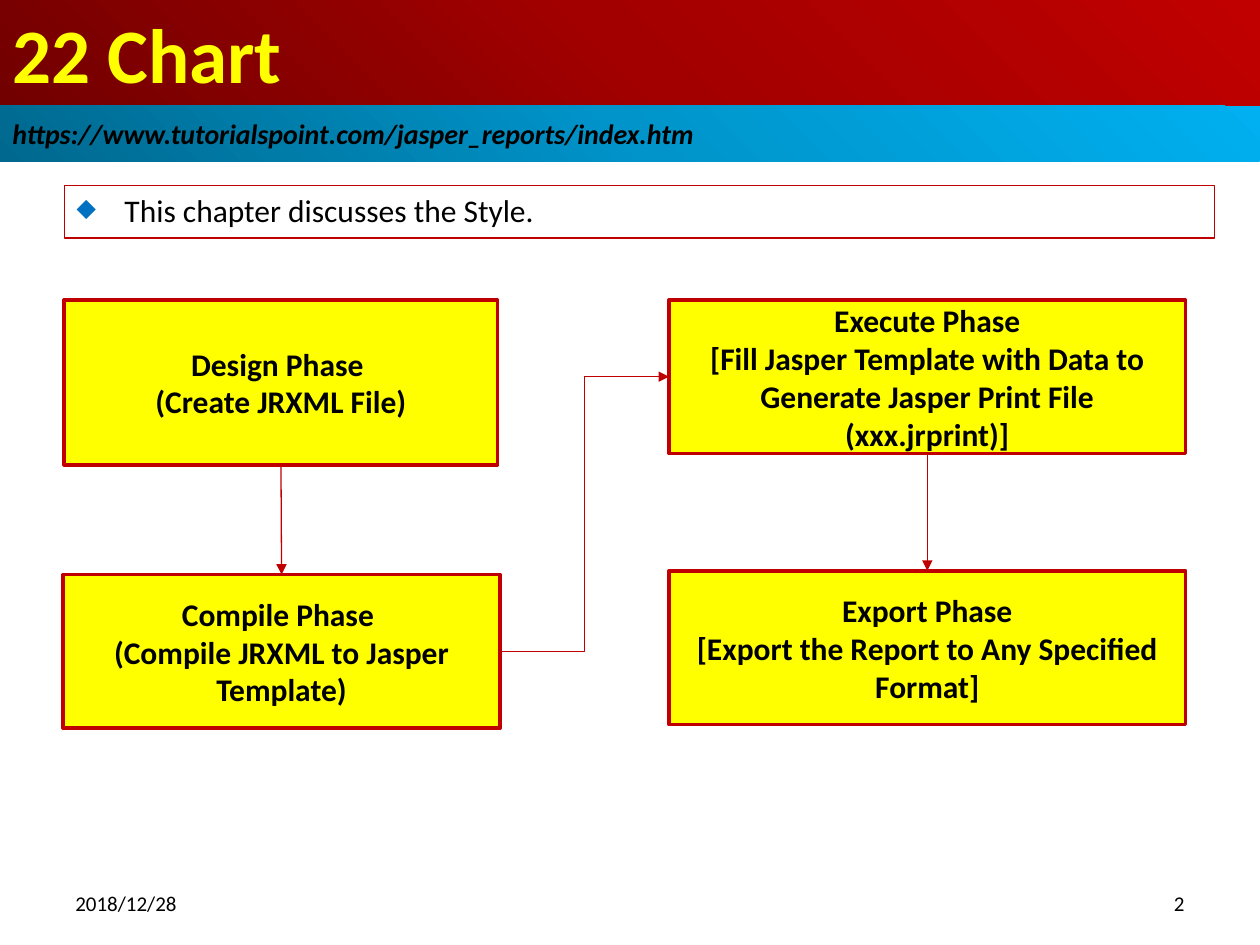
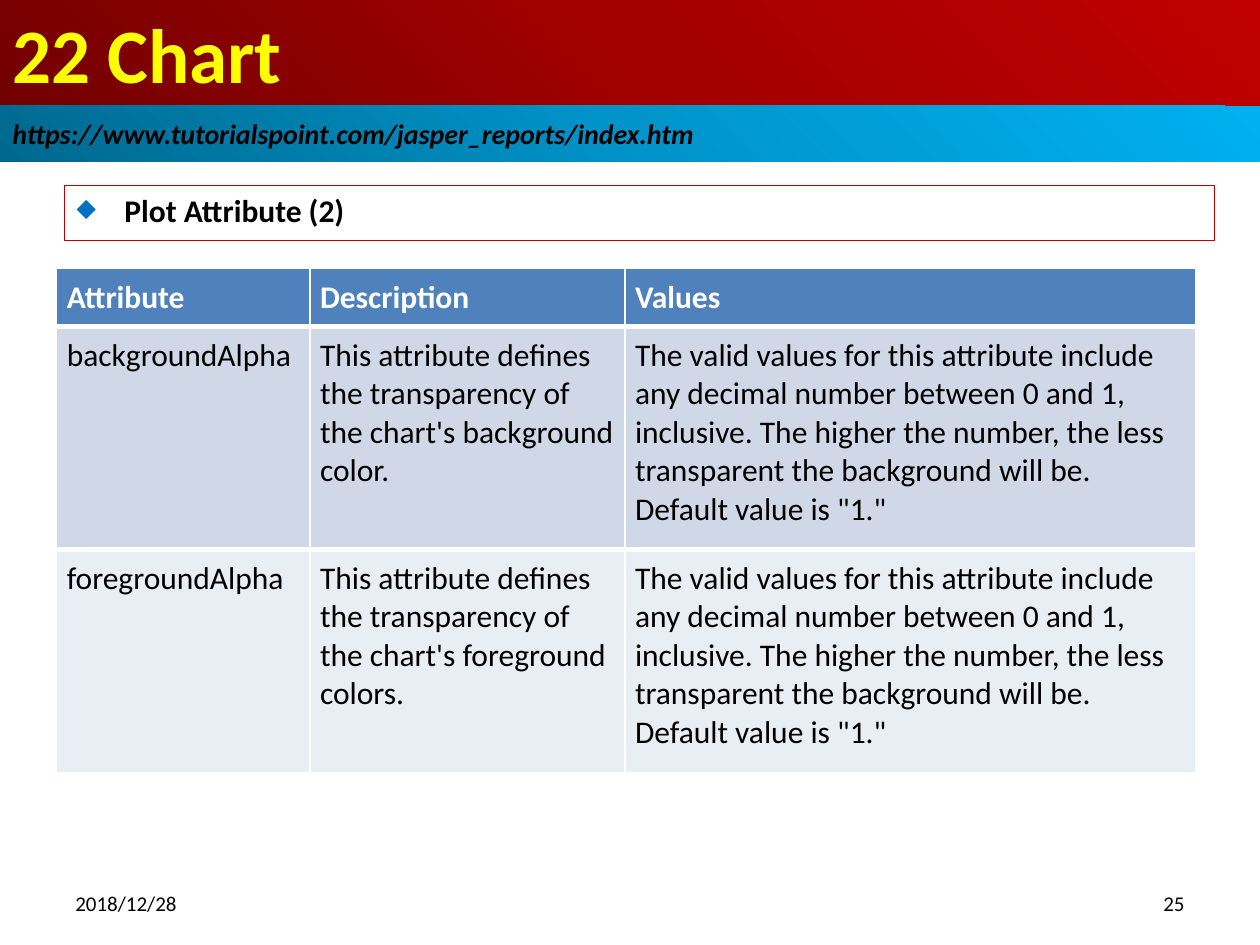
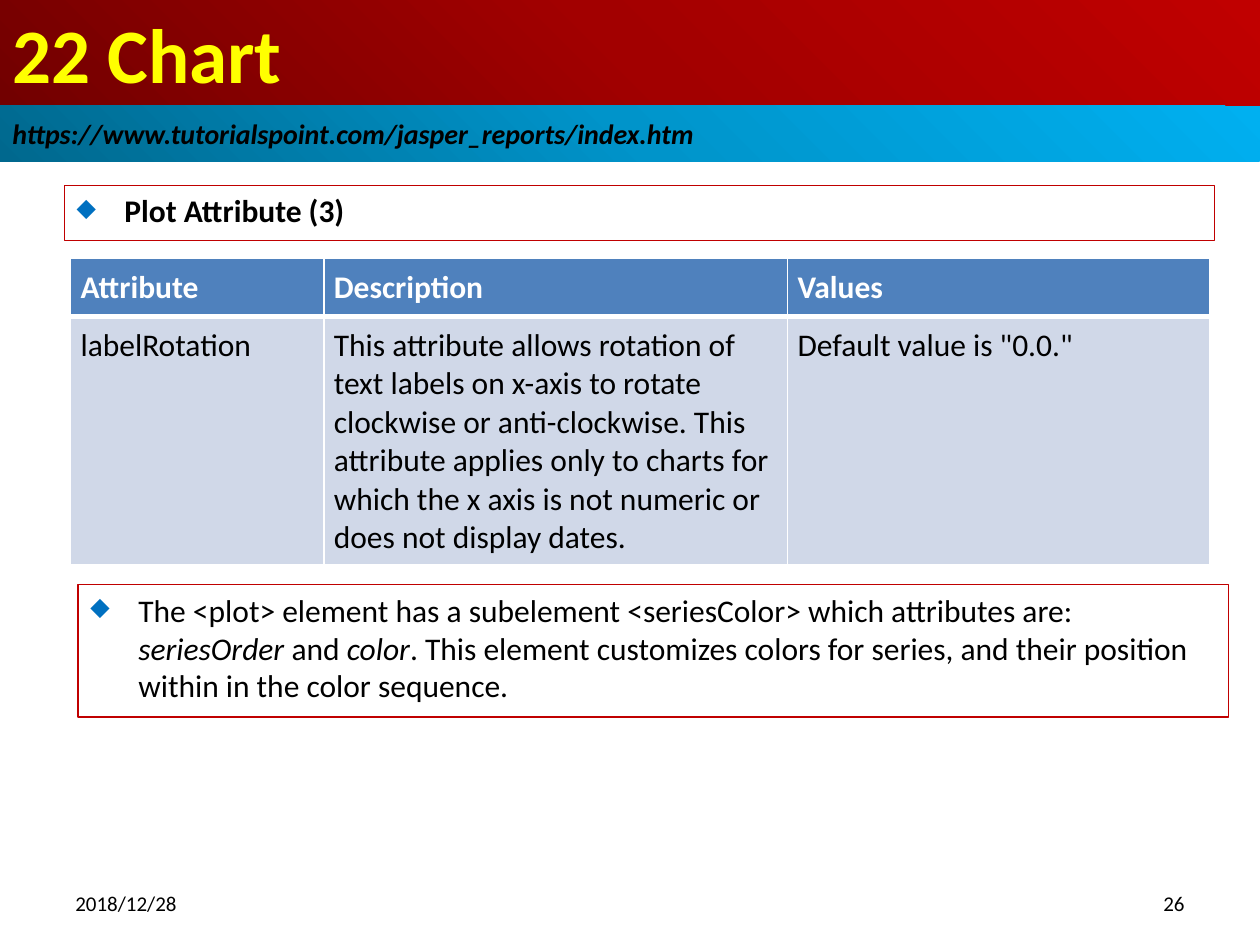
"""Build three slides on charts in a report library."""
from lxml import etree
from pptx import Presentation
from pptx.dml.color import RGBColor
from pptx.enum.shapes import MSO_CONNECTOR, MSO_SHAPE
from pptx.enum.text import MSO_ANCHOR, PP_ALIGN
from pptx.oxml import parse_xml
from pptx.oxml.ns import nsdecls, qn
from pptx.util import Inches, Pt

RECT = MSO_SHAPE.RECTANGLE
STRAIGHT, ELBOW = MSO_CONNECTOR.STRAIGHT, MSO_CONNECTOR.ELBOW
TOP, MIDDLE = MSO_ANCHOR.TOP, MSO_ANCHOR.MIDDLE
LEFT, CENTER, RIGHT = PP_ALIGN.LEFT, PP_ALIGN.CENTER, PP_ALIGN.RIGHT
SITE_TOP, SITE_LEFT, SITE_BOTTOM, SITE_RIGHT = range(4)

FONT = "Calibri"
BLACK, WHITE, YELLOW, RED, BLUE = "000000", "FFFFFF", "FFFF00", "C00000", "0070C0"
RED_BAND = ("720000", "A20000", "C00000")
BLUE_BAND = ("00688E", "0094CA", "00B0F0")
HEADER_FILL, ROW_FILLS = "4F81BD", ("D0D8E8", "E9EDF4")

TITLE = "22 Chart"
URL = "https://www.tutorialspoint.com/jasper_reports/index.htm"
DATE = "2018/12/28"
HEADINGS = ("Attribute", "Description", "Values")
ALPHA_VALUES = (
    "The valid values for this attribute include any decimal number between 0 and 1, "
    "inclusive. The higher the number, the less transparent the background will be. "
    'Default value is "1."'
)
ROTATION = (
    "This attribute allows rotation of text labels on x-axis to rotate clockwise or "
    "anti-clockwise. This attribute applies only to charts for which the x axis is not "
    "numeric or does not display dates."
)
SERIES_COLOR = [
    ("The <plot> element has a subelement <seriesColor> which attributes are: ", False),
    ("seriesOrder", True),
    (" and ", False),
    ("color", True),
    (". This element customizes colors for series, and their position within in the "
     "color sequence.", False),
]


def rgb(color):
    """Turn a hex string into a colour."""
    return RGBColor.from_string(color)


def add_bullet(p):
    """Give a paragraph a hanging diamond bullet."""
    pPr = p._p.get_or_add_pPr()
    pPr.set("marL", str(Inches(0.38)))
    pPr.set("indent", str(-Inches(0.38)))
    color = etree.SubElement(pPr, qn("a:buClr"))
    etree.SubElement(color, qn("a:srgbClr"), val=BLUE)
    etree.SubElement(pPr, qn("a:buSzPct"), val="80000")
    etree.SubElement(pPr, qn("a:buChar"), char="◆")


def write(tf, *paragraphs, size=18, color=BLACK, bold=False, italic=False,
          align=LEFT, anchor=TOP, bullet=False):
    """Write paragraphs, each a string or a list of (text, italic) runs."""
    tf.word_wrap = True
    tf.vertical_anchor = anchor
    for i, runs in enumerate(paragraphs):
        p = tf.add_paragraph() if i else tf.paragraphs[0]
        p.alignment = align
        if bullet:
            add_bullet(p)
        for text, slanted in [(runs, italic)] if isinstance(runs, str) else runs:
            r = p.add_run()
            r.text = text
            r.font.name, r.font.size = FONT, Pt(size)
            r.font.bold, r.font.italic = bold, slanted
            r.font.color.rgb = rgb(color)


def set_border(cell, header):
    """Draw white cell borders, thicker below the header."""
    tcPr = cell._tc.get_or_add_tcPr()
    for i, side in enumerate("LRTB"):
        below = header and side == "B" or not header and side == "T"
        ln = parse_xml(
            f'<a:ln{side} {nsdecls("a")} w="{Pt(3 if below else 1)}"><a:solidFill>'
            f'<a:srgbClr val="{WHITE}"/></a:solidFill></a:ln{side}>')
        tcPr.insert(i, ln)


class Deck:
    """Hold the shared style and the current slide."""

    def __init__(self):
        """Start an empty presentation."""
        self.prs = Presentation()
        self.prs.slide_width, self.prs.slide_height = Inches(10), Inches(7.5)
        self.s = None

    def slide(self, number, heading, bold=True, height=0.44):
        """Add a slide with its bands, heading and footer."""
        self.s = self.prs.slides.add_slide(self.prs.slide_layouts[6])
        self.band(0, 0.84, RED_BAND, TITLE, size=44, color=YELLOW, bold=True)
        self.bullet_box(0.51, 1.47, height, heading, bold=bold)
        self.band(0.84, 0.44, BLUE_BAND, URL, size=16, bold=True, italic=True)
        self.footer(0.5, DATE, LEFT)
        self.footer(7.17, str(number), RIGHT)

    def box(self, x, y, w, h, fill=None, line=None, width=0.75):
        """Add a rectangle."""
        sp = self.s.shapes.add_shape(RECT, Inches(x), Inches(y), Inches(w), Inches(h))
        sp.shadow.inherit = False
        if fill:
            sp.fill.solid()
            sp.fill.fore_color.rgb = rgb(fill)
        else:
            sp.fill.background()
        if line:
            sp.line.color.rgb = rgb(line)
            sp.line.width = Pt(width)
        else:
            sp.line.fill.background()
        return sp

    def band(self, y, h, colors, text, **fmt):
        """Add a full-width band shaded from its lower left corner."""
        sp = self.box(0, y, 10, h)
        stops = "".join(f'<a:gs pos="{i * 50000}"><a:srgbClr val="{c}"/></a:gs>'
                        for i, c in enumerate(colors))
        grad = parse_xml(
            f'<a:gradFill {nsdecls("a")} rotWithShape="1"><a:gsLst>{stops}</a:gsLst>'
            '<a:path path="circle"><a:fillToRect t="100000" r="100000"/></a:path>'
            '</a:gradFill>')
        spPr = sp._element.spPr
        spPr.replace(spPr.find(qn("a:noFill")), grad)
        write(sp.text_frame, text, anchor=MIDDLE, **fmt)

    def bullet_box(self, x, y, h, text, bold=False):
        """Add an outlined box with one bulleted paragraph."""
        sp = self.box(x, y, 9.13, h, line=RED)
        write(sp.text_frame, text, bold=bold, bullet=True)

    def footer(self, x, text, align):
        """Add a footer text."""
        tb = self.s.shapes.add_textbox(Inches(x), Inches(6.95), Inches(2.33), Inches(0.44))
        write(tb.text_frame, text, size=12, align=align, anchor=MIDDLE)

    def phase(self, x, y, w, h, *lines):
        """Add a yellow phase box."""
        sp = self.box(x, y, w, h, fill=YELLOW, line=RED, width=2)
        write(sp.text_frame, *lines, bold=True, align=CENTER, anchor=MIDDLE)
        return sp

    def arrow(self, start, end, kind=STRAIGHT, sites=(SITE_BOTTOM, SITE_TOP)):
        """Connect two boxes with an arrow."""
        cxn = self.s.shapes.add_connector(kind, 0, 0, 0, 0)
        # begin_connect and end_connect also move the ends
        cxn.begin_connect(start, sites[0])
        cxn.end_connect(end, sites[1])
        cxn.line.color.rgb = rgb(RED)
        cxn.line.width = Pt(0.75)
        etree.SubElement(cxn.line._get_or_add_ln(), qn("a:tailEnd"), type="triangle")
        etree.SubElement(cxn._element.spPr, qn("a:effectLst"))

    def table(self, x, y, widths, heights, *rows):
        """Add an attribute table under the shared headings."""
        rows = (HEADINGS, *rows)
        t = self.s.shapes.add_table(len(rows), len(widths), Inches(x), Inches(y),
                                    Inches(sum(widths)), Inches(sum(heights))).table
        for column, w in zip(t.columns, widths):
            column.width = Inches(w)
        for i, (texts, h) in enumerate(zip(rows, heights)):
            t.rows[i].height = Inches(h)
            header = i == 0
            for j, text in enumerate(texts):
                cell = t.cell(i, j)
                cell.margin_left = cell.margin_right = Inches(0.08)
                cell.margin_top = cell.margin_bottom = Inches(0.08)
                cell.fill.solid()
                cell.fill.fore_color.rgb = rgb(HEADER_FILL if header else ROW_FILLS[(i - 1) % 2])
                set_border(cell, header) if i < 2 else set_border(cell, False)
                write(cell.text_frame, text, bold=header, color=WHITE if header else BLACK)


def phases(deck):
    """Build the slide on the four report phases."""
    deck.slide(2, "This chapter discusses the Style.", bold=False, height=0.42)
    design = deck.phase(0.51, 2.38, 3.44, 1.31, "Design Phase ", "(Create JRXML File)")
    compiling = deck.phase(0.5, 4.56, 3.47, 1.22, "Compile Phase ",
                           "(Compile JRXML to Jasper Template)")
    execute = deck.phase(5.31, 2.38, 4.1, 1.22, "Execute Phase",
                         "[Fill Jasper Template with Data to Generate Jasper Print File "
                         "(xxx.jrprint)]")
    export = deck.phase(5.31, 4.53, 4.1, 1.22, "Export Phase",
                        "[Export the Report to Any Specified Format]")
    deck.arrow(design, compiling)
    deck.arrow(compiling, execute, ELBOW, (SITE_RIGHT, SITE_LEFT))
    deck.arrow(execute, export)


def alpha_attributes(deck):
    """Build the slide on transparency attributes."""
    deck.slide(25, "Plot Attribute (2)")
    rows = [(f"{layer}Alpha",
             f"This attribute defines the transparency of the chart's {layer} {noun}.",
             ALPHA_VALUES)
            for layer, noun in (("background", "color"), ("foreground", "colors"))]
    deck.table(0.45, 2.13, (2.01, 2.5, 4.53), (0.46, 1.77, 1.77), *rows)


def label_rotation(deck):
    """Build the slide on label rotation and series colours."""
    deck.slide(26, "Plot Attribute (3)")
    deck.table(0.56, 2.05, (2.01, 3.68, 3.35), (0.46, 1.97),
               ("labelRotation", ROTATION, 'Default value is "0.0."'))
    deck.bullet_box(0.62, 4.64, 1.05, SERIES_COLOR)


def main():
    """Build and save the presentation."""
    deck = Deck()
    for build in (phases, alpha_attributes, label_rotation):
        build(deck)
    deck.prs.save("out.pptx")


if __name__ == "__main__":
    main()
